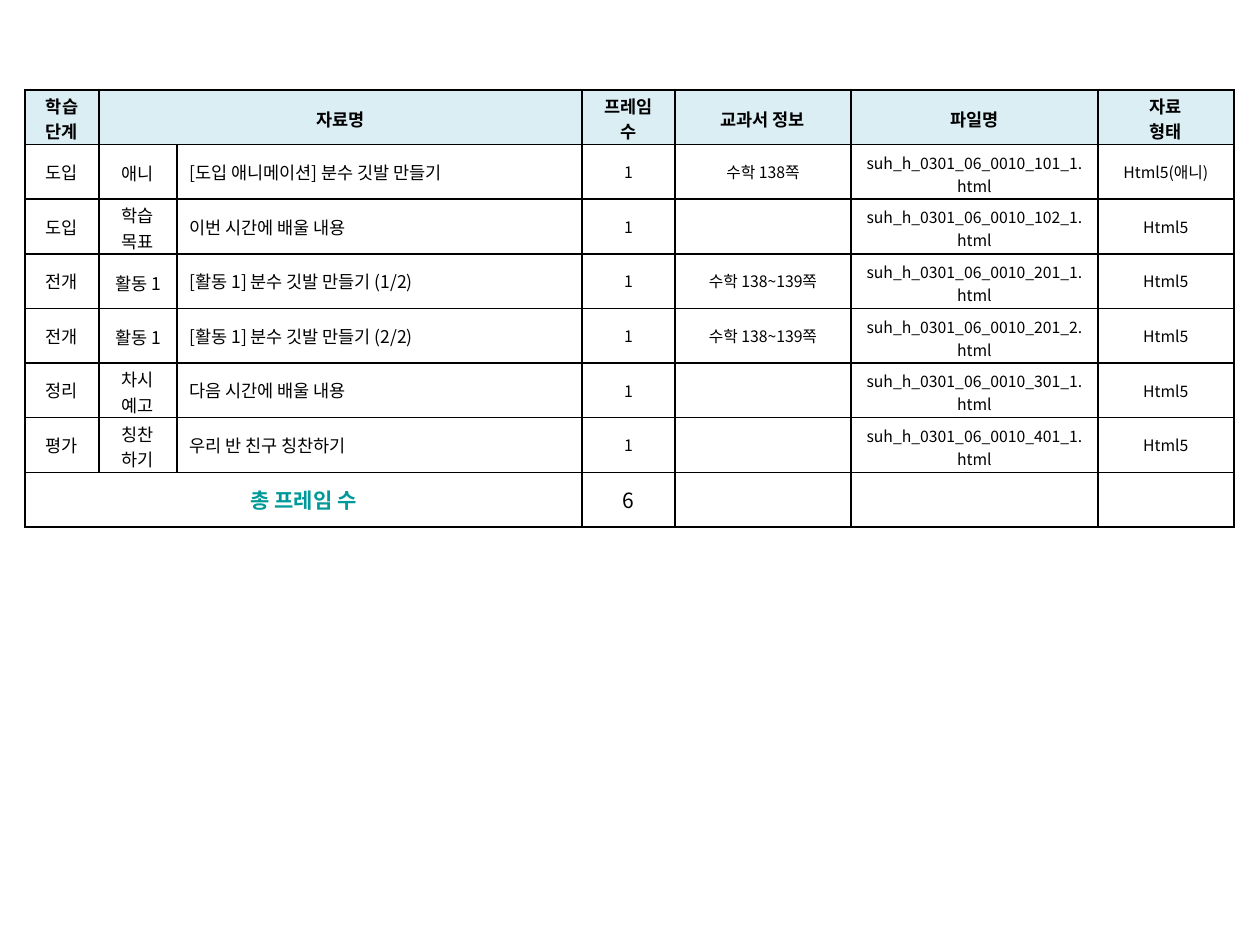
from dataclasses import dataclass

from lxml.etree import SubElement
from pptx import Presentation
from pptx.dml.color import RGBColor
from pptx.enum.text import MSO_ANCHOR as Anchor, PP_ALIGN as Align
from pptx.oxml.ns import qn
from pptx.table import Table, _Cell as Cell
from pptx.util import Emu, Pt

BLACK = RGBColor(0x00, 0x00, 0x00)
TEAL = RGBColor(0x00, 0x99, 0x99)
PALE_BLUE = RGBColor(0xDB, 0xEE, 0xF4)
FONT = "Noto Sans CJK KR"
EMU_PER_PX = 914400 / 126
LEFT, TOP, HEIGHT = 25, 90, 437
COLUMN_WIDTHS = (74, 78, 405, 93, 176, 247, 136)
TITLE_COLUMN, FRAMES_COLUMN = 2, 3
FILE_PREFIX = "suh_h_0301_06_0010_"
HEADERS = ("학습 단계", "자료명", "", "프레임 수", "교과서 정보", "파일명", "자료\n형태")
TOTALS = ("총 프레임 수", "", "", "6", "", "", "")


@dataclass(frozen=True)
class Material:
    stage: str
    kind: str
    title: str
    textbook: str
    file_code: str
    form: str = "Html5"

    def texts(self) -> tuple[str, ...]:
        """Return the row's texts in column order."""
        file_name = f"{FILE_PREFIX}{self.file_code}.html"
        return self.stage, self.kind, self.title, "1", self.textbook, file_name, self.form


@dataclass(frozen=True)
class Style:
    size: int
    bold: bool = False
    color: RGBColor = BLACK
    align: Align = Align.CENTER
    fill: RGBColor | None = None
    top_margin: int = 0


HEADER = Style(10, bold=True, fill=PALE_BLUE, top_margin=3)
LABEL = Style(10)
KIND = Style(10, top_margin=3)
TITLE = Style(10, align=Align.LEFT)
DETAIL = Style(9)
FILE_NAME = Style(9, top_margin=4)
TOTAL_LABEL = Style(12, bold=True, color=TEAL)
TOTAL = Style(12)
MATERIAL_STYLES = (LABEL, KIND, TITLE, DETAIL, DETAIL, FILE_NAME, DETAIL)

MATERIALS = (
    Material("도입", "애니", "[도입 애니메이션] 분수 깃발 만들기", "수학 138쪽", "101_1", "Html5(애니)"),
    Material("도입", "학습 목표", "이번 시간에 배울 내용", "", "102_1"),
    Material("전개", "활동 1", "[활동 1] 분수 깃발 만들기 (1/2)", "수학 138~139쪽", "201_1"),
    Material("전개", "활동 1", "[활동 1] 분수 깃발 만들기 (2/2)", "수학 138~139쪽", "201_2"),
    Material("정리", "차시 예고", "다음 시간에 배울 내용", "", "301_1"),
    Material("평가", "칭찬\n하기", "우리 반 친구 칭찬하기", "", "401_1"),
)


def px(length: int) -> Emu:
    """Turn pixels into EMU."""
    return Emu(round(length * EMU_PER_PX))


def add_borders(cell: Cell) -> None:
    """Draw a thin black line on each side of a cell."""
    properties = cell._tc.get_or_add_tcPr()
    for position, side in enumerate(("a:lnL", "a:lnR", "a:lnT", "a:lnB")):
        line = properties.makeelement(qn(side), {"w": str(Pt(1))})
        SubElement(SubElement(line, qn("a:solidFill")), qn("a:srgbClr"), val=str(BLACK))
        properties.insert(position, line)


def write_cell(cell: Cell, text: str, style: Style) -> None:
    """Fill a cell with styled text."""
    cell.vertical_anchor = Anchor.MIDDLE
    cell.margin_top, cell.margin_bottom = px(style.top_margin), px(0)
    cell.text = text
    for para in cell.text_frame.paragraphs:
        para.alignment = style.align
        font = para.font
        font.name, font.size, font.bold = FONT, Pt(style.size), style.bold
        font.color.rgb = style.color
        SubElement(font._element, qn("a:ea"), typeface=FONT)
    if style.fill is None:
        cell.fill.background()
    else:
        cell.fill.solid()
        cell.fill.fore_color.rgb = style.fill
    add_borders(cell)


def write_row(table: Table, row: int, texts: tuple[str, ...], styles: tuple[Style, ...]) -> None:
    """Write one row of the table."""
    for column, (text, style) in enumerate(zip(texts, styles)):
        write_cell(table.cell(row, column), text, style)


def main() -> None:
    """Build the lesson material list."""
    deck = Presentation()
    deck.slide_width, deck.slide_height = px(1260), px(945)
    page = deck.slides.add_slide(deck.slide_layouts[6])

    count, last = len(COLUMN_WIDTHS), len(MATERIALS) + 1
    table = page.shapes.add_table(
        last + 1, count, px(LEFT), px(TOP), px(sum(COLUMN_WIDTHS)), px(HEIGHT)
    ).table
    for column, width in zip(table.columns, COLUMN_WIDTHS):
        column.width = px(width)

    write_row(table, 0, HEADERS, (HEADER,) * count)
    for row, material in enumerate(MATERIALS, start=1):
        write_row(table, row, material.texts(), MATERIAL_STYLES)
    total_styles = (TOTAL_LABEL,) * FRAMES_COLUMN + (TOTAL,) * (count - FRAMES_COLUMN)
    write_row(table, last, TOTALS, total_styles)

    table.cell(0, 1).merge(table.cell(0, TITLE_COLUMN))
    table.cell(last, 0).merge(table.cell(last, TITLE_COLUMN))
    deck.save("out.pptx")


if __name__ == "__main__":
    main()
